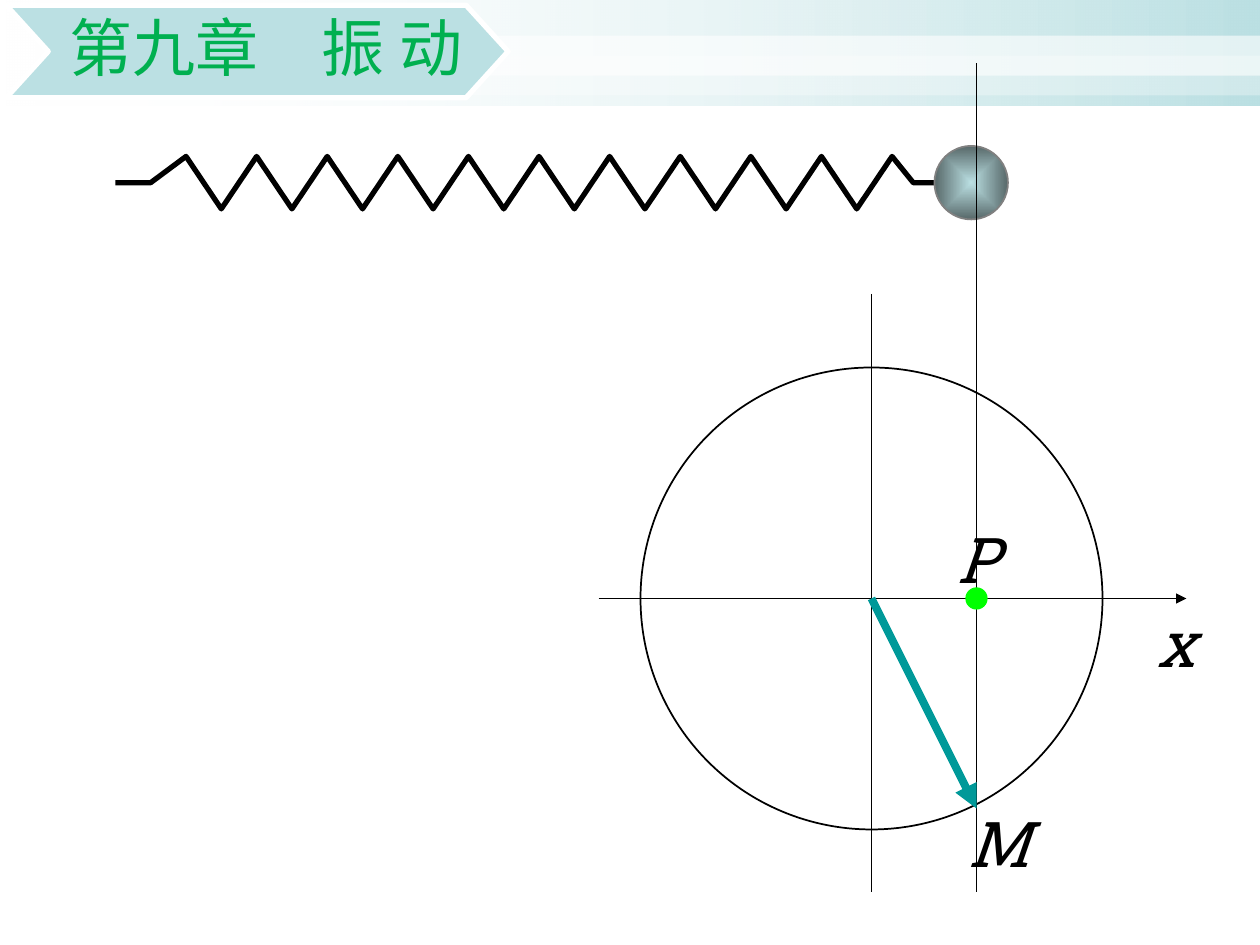
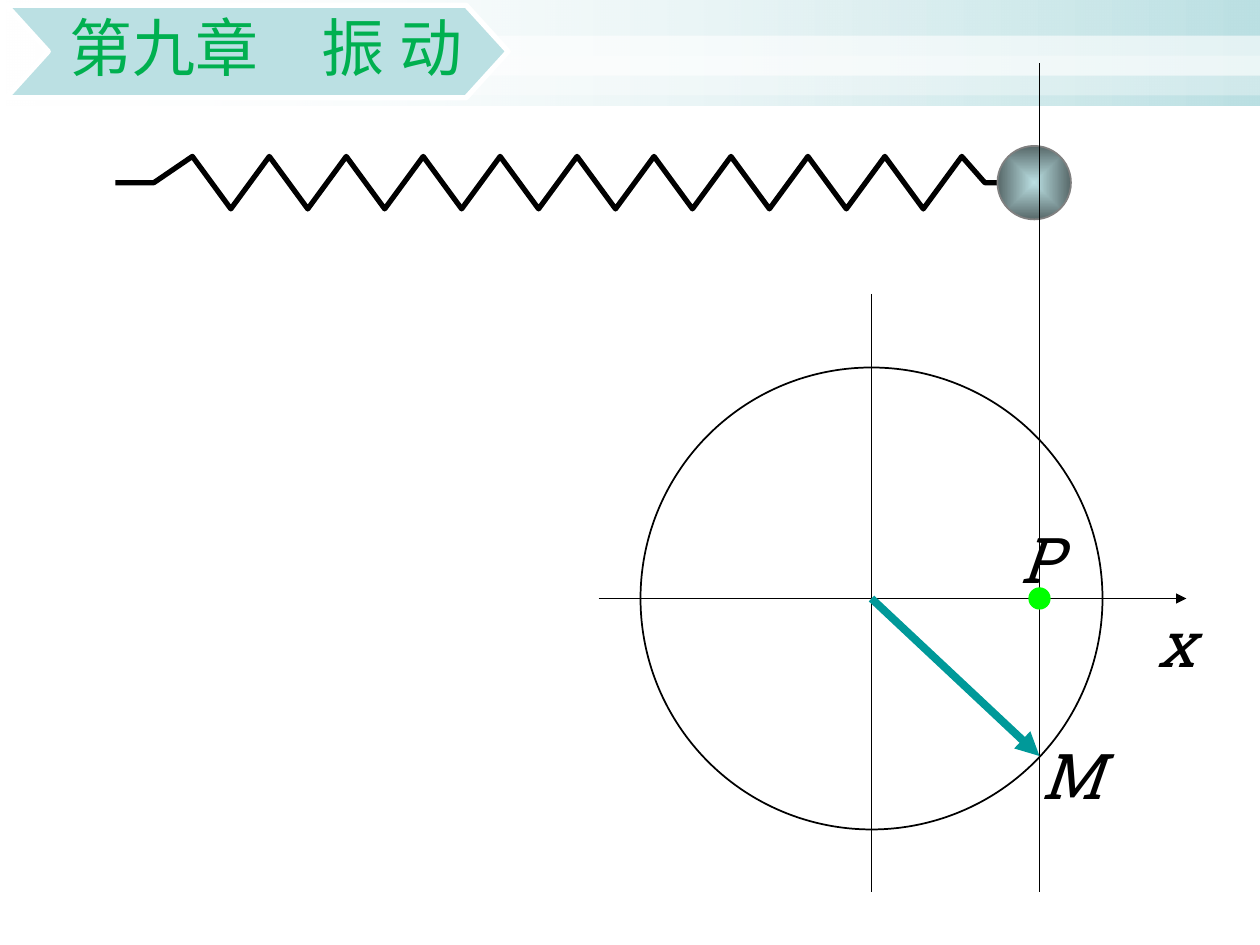
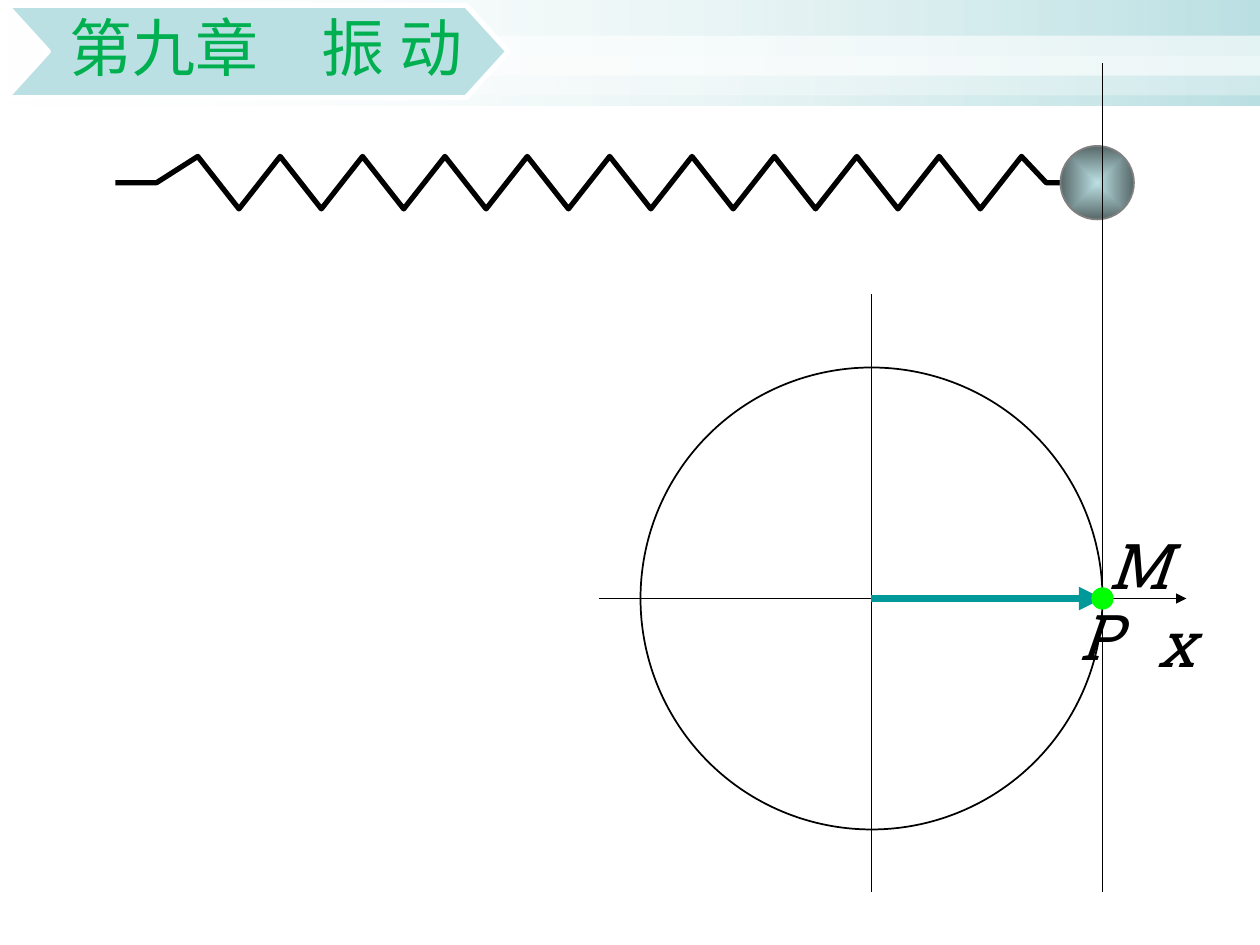
"""Build three slides of a spring oscillator beside its rotating-vector circle."""
from lxml import etree
from pptx import Presentation
from pptx.dml.color import RGBColor
from pptx.enum.dml import MSO_LINE
from pptx.enum.shapes import MSO_CONNECTOR, MSO_SHAPE
from pptx.enum.text import MSO_ANCHOR, MSO_AUTO_SIZE, PP_ALIGN
from pptx.oxml.ns import qn
from pptx.util import Pt

STRAIGHT = MSO_CONNECTOR.STRAIGHT
RECT, OVAL = MSO_SHAPE.RECTANGLE, MSO_SHAPE.OVAL
SOLID = MSO_LINE.SOLID
MIDDLE, RIGHT = MSO_ANCHOR.MIDDLE, PP_ALIGN.RIGHT
FIXED, GROW = MSO_AUTO_SIZE.NONE, MSO_AUTO_SIZE.SHAPE_TO_FIT_TEXT

SCALE = 914400 // 120
TITLE_ONLY = 5
WHITE, BLACK, GREY = "FFFFFF", "000000", "808080"
AQUA, SLATE, TEAL = "BBE0E3", "576869", "009999"
TITLE_GREEN, DOT_GREEN = "00B050", "00FF00"
TITLE_FONT, LABEL_FONT, TEXT_SIZE = "Calibri", "Roboto Slab", 36

TITLE = "第九章　振 动"
STATES = [
    {"p_x": 930, "m_drop": 200, "spring_end": 890, "M": (911, 760), "P": (900, 490)},
    {"p_x": 990, "m_drop": 150, "spring_end": 960, "M": (980, 696), "P": (960, 490)},
    {"p_x": 1050, "m_drop": 0, "spring_end": 1020, "M": (1044, 496), "P": (1016, 563)},
]
LABEL_WIDTHS = {"x": 56, "M": 76, "P": 60}
LABEL_HEIGHT = 84

PAGE_SIZE = (1200, 900)
HEADER = (0, 0, 1200, 101)
STRIPES = [((0, 34, 1200, 38), 60), ((0, 53, 1200, 38), 31)]
BANNER = [(6, 5), (444, 5), (484, 49), (444, 93), (6, 93), (46, 49)]
TITLE_BOX, TITLE_INSETS = (6, 5, 478, 88), (50, 4, 44, 4)
CENTER_X, CENTER_Y, RADIUS = 830, 570, 220
AXIS_LEFT, AXIS_RIGHT, AXIS_TOP, AXIS_BOTTOM = 570, 1130, 280, 850
X_LABEL = (1091, 570)
GUIDE_TOP = 60
SPRING_LEFT, SPRING_Y, SPRING_SWING, SPRING_PEAKS = 110, 174, 25, 21
SPRING_TAIL = 0.6
BALL_SIZE, BALL_OFFSET, DOT_SIZE = 70, 40, 20


def px(length):
    """Turn px into EMU."""
    return round(length * SCALE)


def emu(lengths):
    """Turn a row of px lengths into EMU."""
    return [px(length) for length in lengths]


def color(code):
    """Turn a hex string into a colour."""
    return RGBColor.from_string(code)


def set_line(line, code, width):
    """Give a line its colour and width in points."""
    line.color.rgb = color(code)
    line.width = Pt(width)
    line.dash_style = SOLID


def finish(shape, fill=None, line=None, width=1):
    """Set a shape's solid fill and outline, leaving out what is not given."""
    shape.shadow.inherit = False
    if fill:
        shape.fill.solid()
        shape.fill.fore_color.rgb = color(fill)
    else:
        shape.fill.background()
    if line:
        set_line(shape.line, line, width)
    else:
        shape.line.fill.background()
    return shape


def blend(shape, first, last):
    """Fill a shape with a level gradient."""
    shape.fill.gradient()
    shape.fill.gradient_angle = 0
    for stop, code, place in zip(shape.fill.gradient_stops, (first, last), (0, 1)):
        stop.color.rgb = color(code)
        stop.position = place


def fade(shape, percent):
    """Set the opacity of the first colour in a shape."""
    tint = next(shape.element.iter(qn("a:srgbClr")))
    etree.SubElement(tint, qn("a:alpha")).set("val", str(percent * 1000))


def center_blend(shape):
    """Make a shape's gradient spread from its middle."""
    level = next(shape.element.iter(qn("a:lin")))
    spread = etree.Element(qn("a:path"), {"path": "rect"})
    middle = dict.fromkeys("ltrb", "50000")
    etree.SubElement(spread, qn("a:fillToRect"), middle)
    level.getparent().replace(level, spread)


def add_outline(page, points, closed):
    """Draw straight segments through px points."""
    start, *rest = [emu(point) for point in points]
    builder = page.shapes.build_freeform(*start)
    builder.add_line_segments(rest, close=closed)
    return builder.convert_to_shape()


def add_line(page, start, end, code=BLACK, width=1, arrow=False):
    """Draw a line, with an arrowhead at its end if asked."""
    line = page.shapes.add_connector(STRAIGHT, *emu(start + end))
    set_line(line.line, code, width)
    properties = line.element.spPr
    if arrow:
        outline = properties.find(qn("a:ln"))
        etree.SubElement(outline, qn("a:tailEnd")).set("type", "triangle")
    etree.SubElement(properties, qn("a:effectLst"))


def add_circle(page, center, size):
    """Add a circle around a px point."""
    left, top = (place - size / 2 for place in center)
    return page.shapes.add_shape(OVAL, *emu((left, top, size, size)))


def add_span(para, text, font, code):
    """Add one run of text."""
    span = para.add_run()
    span.text = text
    span.font.name = font
    span.font.size = Pt(TEXT_SIZE)
    span.font.color.rgb = color(code)
    return span


def add_label(page, text, corner):
    """Add a slanted point or axis name."""
    place = (*corner, LABEL_WIDTHS[text], LABEL_HEIGHT)
    frame = page.shapes.add_textbox(*emu(place)).text_frame
    frame.word_wrap = False
    frame.auto_size = GROW
    add_span(frame.paragraphs[0], text, LABEL_FONT, BLACK).font.italic = True


def decorate_layout(page, layout):
    """Draw the header bands and banner and hand them to the layout."""
    header = finish(page.shapes.add_shape(RECT, *emu(HEADER)))
    blend(header, WHITE, AQUA)
    fade(header, 0)
    parts = [header]
    for place, opacity in STRIPES:
        stripe = finish(page.shapes.add_shape(RECT, *emu(place)), WHITE)
        fade(stripe, opacity)
        parts.append(stripe)
    parts.append(finish(add_outline(page, BANNER, True), AQUA, WHITE, 3))
    for part in parts:
        layout.shapes.element.append(part.element)


def set_title(page):
    """Place the chapter title on the banner."""
    box = page.shapes.title
    box.left, box.top, box.width, box.height = emu(TITLE_BOX)
    frame = box.text_frame
    frame.word_wrap = True
    frame.auto_size = FIXED
    frame.vertical_anchor = MIDDLE
    (frame.margin_left, frame.margin_top,
     frame.margin_right, frame.margin_bottom) = emu(TITLE_INSETS)
    para = frame.paragraphs[0]
    para.alignment = RIGHT
    para.line_spacing = 0.9
    para.space_after = Pt(15.8)
    add_span(para, TITLE, TITLE_FONT, TITLE_GREEN)


def spring_points(end):
    """List the corners of a spring stretched to a given x."""
    step = (end - SPRING_LEFT) / (SPRING_PEAKS + 1 + 2 * SPRING_TAIL)
    points = [(SPRING_LEFT, SPRING_Y), (SPRING_LEFT + step, SPRING_Y)]
    for peak in range(SPRING_PEAKS):
        swing = SPRING_SWING if peak % 2 else -SPRING_SWING
        points.append((SPRING_LEFT + (peak + 2) * step, SPRING_Y + swing))
    return points + [(end - SPRING_TAIL * step, SPRING_Y), (end, SPRING_Y)]


def draw_oscillator(page, state):
    """Draw the spring, its ball and the guide line down to P."""
    p_x = state["p_x"]
    spring = add_outline(page, spring_points(state["spring_end"]), False)
    finish(spring, line=BLACK, width=3)
    ball_x = p_x - BALL_OFFSET + BALL_SIZE / 2
    ball = finish(add_circle(page, (ball_x, SPRING_Y), BALL_SIZE), line=GREY)
    blend(ball, AQUA, SLATE)
    center_blend(ball)
    add_line(page, (p_x, GUIDE_TOP), (p_x, AXIS_BOTTOM))


def draw_circle(page, state):
    """Draw the reference circle, its axes, the vector and the point P."""
    center = (CENTER_X, CENTER_Y)
    p_x = state["p_x"]
    finish(add_circle(page, center, 2 * RADIUS), line=BLACK)
    add_line(page, (AXIS_LEFT, CENTER_Y), (AXIS_RIGHT, CENTER_Y), arrow=True)
    add_line(page, (CENTER_X, AXIS_TOP), (CENTER_X, AXIS_BOTTOM))
    add_label(page, "x", X_LABEL)
    add_line(page, center, (p_x, CENTER_Y + state["m_drop"]), TEAL, 4.5, True)
    for name in "MP":
        add_label(page, name, state[name])
    finish(add_circle(page, (p_x, CENTER_Y), DOT_SIZE), DOT_GREEN, DOT_GREEN, 0.75)


def main():
    """Build and save the deck."""
    deck = Presentation()
    deck.slide_width, deck.slide_height = emu(PAGE_SIZE)
    layout = deck.slide_layouts[TITLE_ONLY]
    pages = [deck.slides.add_slide(layout) for _ in STATES]
    decorate_layout(pages[0], layout)
    for page, state in zip(pages, STATES):
        set_title(page)
        draw_oscillator(page, state)
        draw_circle(page, state)
    deck.save("out.pptx")


if __name__ == "__main__":
    main()
